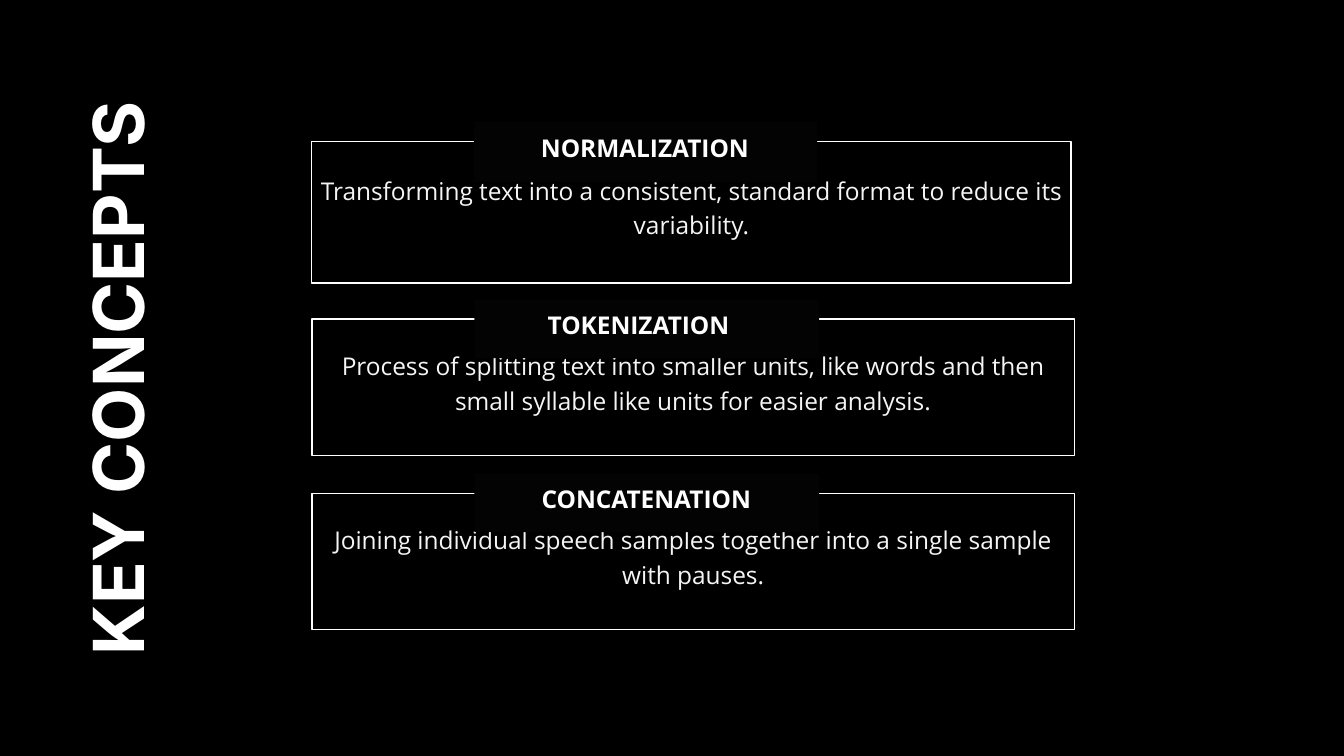
from collections import namedtuple
from dataclasses import dataclass

from pptx import Presentation
from pptx.dml.color import RGBColor
from pptx.enum.shapes import MSO_SHAPE
from pptx.enum.text import MSO_ANCHOR, MSO_AUTO_SIZE, PP_ALIGN
from pptx.util import Pt

PX = 9144  # EMU per px, 100 px to the inch

Box = namedtuple("Box", "left top width height")
Concept = namedtuple("Concept", "heading definition frame tag indent")


@dataclass(frozen=True)
class Theme:
    background: RGBColor = RGBColor(0x00, 0x00, 0x00)
    tag: RGBColor = RGBColor(0x03, 0x03, 0x03)
    bright: RGBColor = RGBColor(0xFF, 0xFF, 0xFF)
    soft: RGBColor = RGBColor(0xF5, 0xF5, 0xF5)
    title_font: str = "Inter"
    body_font: str = "Open Sans"
    title_size: float = 75.4
    title_leading: float = 83
    body_size: float = 26.2
    body_leading: float = 36.7
    outline: float = 1.5


THEME = Theme()
INSET = 6
TEXT_RISE = 20  # text boxes start this far above their rectangle

# Frame boxes are on the slide, tag boxes are relative to their frame
CONCEPTS = [
    Concept("NORMALIZATION",
            "Transforming text into a consistent, standard format to reduce its variability.",
            Box(464, 211, 1130, 210), Box(241, -30, 511, 90), 100),
    Concept("TOKENIZATION",
            "Process of splitting text into smaller units, like words and then "
            "small syllable like units for easier analysis.",
            Box(464, 475, 1135, 203), Box(242, -29, 513, 87), 109),
    Concept("CONCATENATION",
            "Joining individual speech samples together into a single sample with pauses.",
            Box(464, 734, 1135, 203), Box(242, -29, 513, 87), 100),
]


def emu(box):
    return [length * PX for length in box]


def write(frame, text, font, size, leading, color, bold, align, anchor, insets):
    frame.text = text
    frame.word_wrap = True
    frame.auto_size = MSO_AUTO_SIZE.NONE
    frame.vertical_anchor = anchor
    (frame.margin_left, frame.margin_top,
     frame.margin_right, frame.margin_bottom) = emu(insets)
    paragraph = frame.paragraphs[0]
    paragraph.alignment = align
    paragraph.line_spacing = Pt(leading)
    run_font = paragraph.runs[0].font
    run_font.name, run_font.size, run_font.bold = font, Pt(size), bold
    run_font.color.rgb = color


def add_panel(group, box, fill=None, line=None):
    panel = group.shapes.add_shape(MSO_SHAPE.RECTANGLE, *emu(box))
    panel.shadow.inherit = False
    if fill is None:
        panel.fill.background()
    else:
        panel.fill.solid()
        panel.fill.fore_color.rgb = fill
    if line is None:
        panel.line.fill.background()
    else:
        panel.line.color.rgb = line
        panel.line.width = Pt(THEME.outline)


def add_label(group, box, text, color, bold, align, indent=INSET):
    raised = Box(box.left, box.top - TEXT_RISE, box.width, box.height + TEXT_RISE)
    label = group.shapes.add_textbox(*emu(raised))
    write(label.text_frame, text, THEME.body_font, THEME.body_size,
          THEME.body_leading, color, bold, align, MSO_ANCHOR.MIDDLE,
          (indent, INSET, INSET, INSET))


def add_concept(slide, concept):
    frame = concept.frame
    tag = concept.tag._replace(left=frame.left + concept.tag.left,
                               top=frame.top + concept.tag.top)
    group = slide.shapes.add_group_shape()
    # Outlined definition
    add_panel(group, frame, line=THEME.bright)
    add_label(group, frame, concept.definition, THEME.soft, False, PP_ALIGN.CENTER)
    # Heading tag that interrupts the outline
    add_panel(group, tag, fill=THEME.tag)
    add_label(group, tag, concept.heading, THEME.bright, True, PP_ALIGN.LEFT,
              concept.indent)


def place_title(slide, box):
    title = slide.shapes.title
    title.left, title.top, title.width, title.height = emu(box)
    title.rotation = 270
    write(title.text_frame, "KEY CONCEPTS", THEME.title_font, THEME.title_size,
          THEME.title_leading, THEME.bright, True, PP_ALIGN.CENTER,
          MSO_ANCHOR.TOP, (0, 0, 0, 0))


def main():
    deck = Presentation()
    deck.slide_width, deck.slide_height = 2000 * PX, 1125 * PX
    slide = deck.slides.add_slide(deck.slide_layouts[5])
    slide.background.fill.solid()
    slide.background.fill.fore_color.rgb = THEME.background

    for concept in CONCEPTS:
        add_concept(slide, concept)
    place_title(slide, Box(-300, 504, 958, 118))

    deck.save("out.pptx")


if __name__ == "__main__":
    main()
